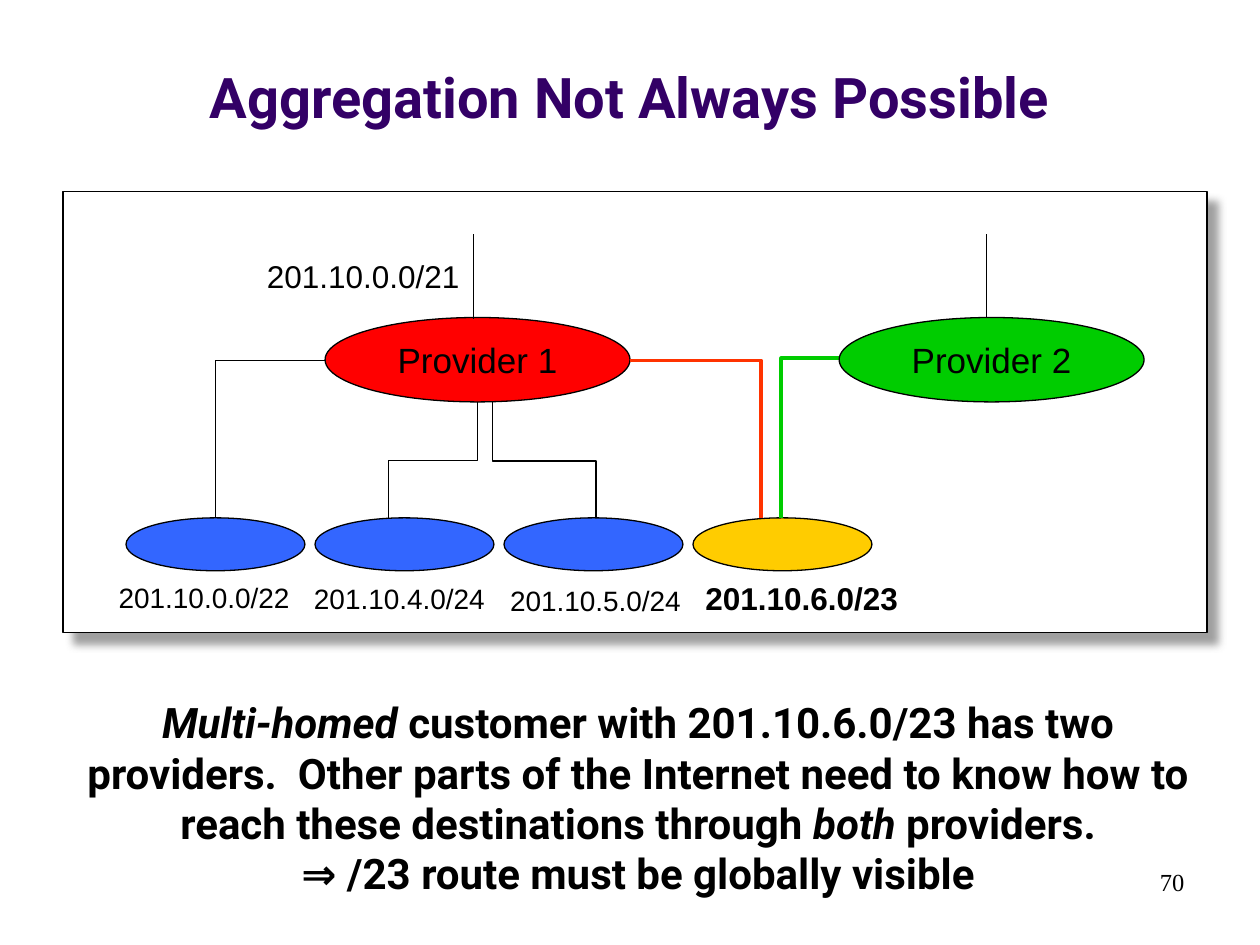
from lxml.etree import SubElement
from pptx import Presentation
from pptx.dml.color import RGBColor
from pptx.enum.shapes import MSO_CONNECTOR as Line, MSO_SHAPE as Shape
from pptx.enum.text import MSO_ANCHOR as Anchor, MSO_AUTO_SIZE as Fit, PP_ALIGN as Align
from pptx.oxml.ns import qn
from pptx.util import Inches, Pt

COLORS = {
    "title": "330066", "ink": "000000", "paper": "FFFFFF", "shadow": "808080",
    "provider1": "FF0000", "provider2": "00CC00", "customer": "3366FF",
    "multihomed": "FFCC00", "link1": "FF3300",
}

# Grid of the diagram, in inches
PROVIDER_TOP, PROVIDER_W, PROVIDER_H = 2.52, 2.42, 0.67
PROVIDER_MID = 2.86
CUSTOMER_LEFT, CUSTOMER_STEP = 1, 1.5
CUSTOMER_TOP, CUSTOMER_W, CUSTOMER_H = 4.11, 1.42, 0.42


def color(name):
    return RGBColor.from_string(COLORS[name])


def write(frame, paragraphs, size, font="Arial", ink="ink", bold=False,
          align=Align.LEFT, anchor=Anchor.TOP, wrap=False, fit=Fit.NONE):
    """Fill a frame; each paragraph is a list of (text, italic) runs."""
    frame.word_wrap = wrap
    frame.auto_size = fit
    frame.vertical_anchor = anchor
    for index, runs in enumerate(paragraphs):
        paragraph = frame.add_paragraph() if index else frame.paragraphs[0]
        paragraph.alignment = align
        paragraph.space_before = Pt(0)
        for text, italic in runs:
            run = paragraph.add_run()
            run.text = text
            run.font.size = Pt(size)
            run.font.name = font
            run.font.bold = bold
            run.font.italic = italic
            run.font.color.rgb = color(ink)


def place(shape, left, top, width, height):
    shape.left, shape.top = Inches(left), Inches(top)
    shape.width, shape.height = Inches(width), Inches(height)


def label(slide, text, left, top, width, height, size, fit=Fit.SHAPE_TO_FIT_TEXT, **style):
    box = slide.shapes.add_textbox(*map(Inches, (left, top, width, height)))
    write(box.text_frame, [[(text, False)]], size, fit=fit, **style)


def outlined(slide, kind, fill, left, top, width, height):
    shape = slide.shapes.add_shape(kind, *map(Inches, (left, top, width, height)))
    shape.shadow.inherit = False
    shape.fill.solid()
    shape.fill.fore_color.rgb = color(fill)
    shape.line.color.rgb = color("ink")
    shape.line.width = Pt(0.75)
    return shape


def drop_shadow(shape):
    effects = shape._element.spPr.find(qn("a:effectLst"))
    shadow = SubElement(effects, qn("a:outerShdw"), blurRad=str(Pt(5)), dist=str(Pt(8.5)),
                        dir=str(45 * 60000), algn="ctr", rotWithShape="0")
    tint = SubElement(shadow, qn("a:srgbClr"), val=COLORS["shadow"])
    SubElement(tint, qn("a:alpha"), val="75000")


def provider(slide, text, fill, left):
    oval = outlined(slide, Shape.OVAL, fill, left, PROVIDER_TOP, PROVIDER_W, PROVIDER_H)
    write(oval.text_frame, [[(text, False)]], 20, align=Align.CENTER, anchor=Anchor.MIDDLE)


def connect(slide, kind, start, end, ink="ink", width=0.75):
    link = slide.shapes.add_connector(kind, *map(Inches, (*start, *end)))
    link.line.color.rgb = color(ink)
    link.line.width = Pt(width)
    SubElement(link._element.spPr, qn("a:effectLst"))
    return link


def corner(slide, start, end, **style):
    """Go sideways, then down, with a single bend."""
    link = connect(slide, Line.ELBOW, start, end, **style)
    link._element.spPr.find(qn("a:prstGeom")).set("prst", "bentConnector2")


def step(slide, start, end, bend, **style):
    """Go down, sideways and down; bend is the share of the drop before the turn."""
    (x1, y1), (x2, y2) = start, end
    mid_x, mid_y = (x1 + x2) / 2, (y1 + y2) / 2
    half_w, half_h = (y2 - y1) / 2, abs(x2 - x1) / 2
    side = 1 if x2 < x1 else -1  # a link to the right is turned the other way
    link = connect(slide, Line.ELBOW, (mid_x - side * half_w, mid_y - half_h),
                   (mid_x + side * half_w, mid_y + half_h), **style)
    properties = link._element.spPr
    properties.find(qn("a:xfrm")).set("rot", str((90 if side > 0 else 270) * 60000))
    geometry = properties.find(qn("a:prstGeom"))
    guides = geometry.find(qn("a:avLst"))
    if guides is None:
        guides = SubElement(geometry, qn("a:avLst"))
    SubElement(guides, qn("a:gd"), name="adj1", fmla=f"val {round(bend * 100000)}")


def diagram(slide):
    panel = outlined(slide, Shape.RECTANGLE, "paper", 0.5, 1.52, 9.08, 3.5)
    drop_shadow(panel)

    # Address blocks
    label(slide, "201.10.0.0/21", 2.02, 1.99, 1.73, 0.4, 18)
    label(slide, "201.10.0.0/22", 0.84, 4.56, 1.56, 0.37, 16, align=Align.CENTER)
    label(slide, "201.10.4.0/24", 2.39, 4.57, 1.56, 0.37, 16, align=Align.CENTER)
    label(slide, "201.10.5.0/24", 3.95, 4.58, 1.56, 0.37, 16)
    label(slide, "201.10.6.0/23", 5.5, 4.55, 1.73, 0.4, 18, bold=True)

    # Providers and customers
    provider(slide, "Provider 1", "provider1", 2.58)
    for column, fill in enumerate(["customer"] * 3 + ["multihomed"]):
        outlined(slide, Shape.OVAL, fill, CUSTOMER_LEFT + column * CUSTOMER_STEP,
                 CUSTOMER_TOP, CUSTOMER_W, CUSTOMER_H)

    # Links from providers to customers
    provider_bottom = PROVIDER_TOP + PROVIDER_H
    corner(slide, (2.58, PROVIDER_MID), (1.71, CUSTOMER_TOP))
    step(slide, (3.79, provider_bottom), (3.08, 4.12), 0.5)
    corner(slide, (5, PROVIDER_MID), (6.04, CUSTOMER_TOP), ink="link1", width=2)
    step(slide, (3.91, provider_bottom), (4.73, CUSTOMER_TOP), 0.51)
    step(slide, (6.66, PROVIDER_MID), (6.2, CUSTOMER_TOP), -0.014, ink="provider2", width=2)

    # Uplinks
    for x in (3.76, 7.83):
        connect(slide, Line.STRAIGHT, (x, 2.53), (x, 1.86))
    provider(slide, "Provider 2", "provider2", 6.66)


def conclusion(body):
    place(body, 0.51, 5.48, 9.11, 1.7)
    write(body.text_frame, [
        [("Multi-homed", True),
         (" customer with 201.10.6.0/23 has two providers.  Other parts of the Internet "
          "need to know how to reach these destinations through ", False),
         ("both", True), (" providers.", False)],
        [("⇒ /23 route must be globally visible", False)],
    ], 24, font="Roboto", bold=True, align=Align.CENTER, wrap=True)
    for paragraph in body.text_frame.paragraphs:
        properties = paragraph._p.get_or_add_pPr()
        properties.set("marL", "0")
        properties.set("indent", "0")
        SubElement(properties, qn("a:buNone"))


def main():
    deck = Presentation()
    deck.slide_width, deck.slide_height = Inches(10), Inches(7.5)
    slide = deck.slides.add_slide(deck.slide_layouts[1])

    title = slide.shapes.title
    place(title, 0, 0.13, 10, 0.95)
    write(title.text_frame, [[("Aggregation Not Always Possible", False)]], 32, font="Roboto",
          ink="title", bold=True, align=Align.CENTER, anchor=Anchor.BOTTOM, wrap=True)

    diagram(slide)
    conclusion(slide.placeholders[1])
    label(slide, "70", 7.17, 6.83, 2.33, 0.5, 14, font="Times New Roman",
          align=Align.RIGHT, wrap=True, fit=Fit.NONE)
    deck.save("out.pptx")


if __name__ == "__main__":
    main()
